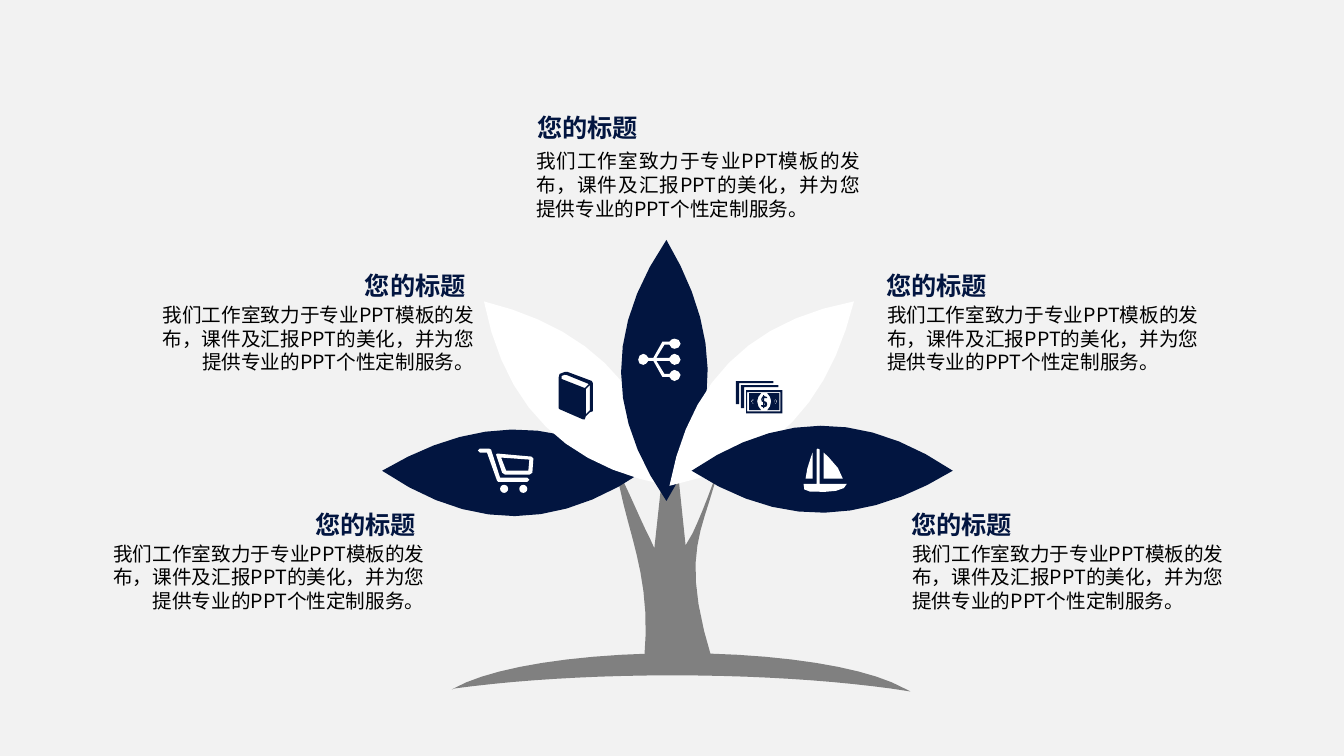
from lxml import etree
from pptx import Presentation
from pptx.dml.color import RGBColor
from pptx.enum.shapes import MSO_SHAPE
from pptx.enum.text import MSO_AUTO_SIZE, PP_ALIGN
from pptx.oxml.ns import qn
from pptx.util import Inches, Pt

NAVY = RGBColor(0x02, 0x15, 0x40)
WHITE = RGBColor(0xFF, 0xFF, 0xFF)
GRAY = RGBColor(0x80, 0x80, 0x80)
BLACK = RGBColor(0x00, 0x00, 0x00)
BACKDROP = RGBColor(0xF2, 0xF2, 0xF2)
LEFT, RIGHT, JUSTIFY = PP_ALIGN.LEFT, PP_ALIGN.RIGHT, PP_ALIGN.JUSTIFY
OVAL = MSO_SHAPE.OVAL
GROW = MSO_AUTO_SIZE.SHAPE_TO_FIT_TEXT
FONT = "Noto Sans CJK SC"

HEADING = "您的标题"
BODY = "我们工作室致力于专业PPT模板的发布，课件及汇报PPT的美化，并为您提供专业的PPT个性定制服务。"

# An outline is a list of contours. A pair is a straight step to that point;
# six numbers are a Bezier step: two control points, then the end point.
GROUND = [[(6.74, 6.48), (7.74, 6.48, 8.6, 6.62, 8.97, 6.83), (9.03, 6.86), (8.83, 6.83),
           (8.24, 6.75, 7.49, 6.7, 6.67, 6.7), (5.85, 6.7, 5.1, 6.75, 4.51, 6.83),
           (4.48, 6.84), (4.5, 6.83), (4.87, 6.62, 5.73, 6.48, 6.74, 6.48)]]
TRUNK = [[(6.65, 3.97), (6.8, 5.41), (6.87, 5.29), (6.94, 5.14, 7.03, 4.92, 7.13, 4.63),
          (6.99, 5.27, 6.72, 5.44, 7.07, 6.57), (6.39, 6.54),
          (6.47, 5.67, 6.2, 5.27, 6.11, 4.63), (6.26, 4.92, 6.36, 5.18, 6.45, 5.35),
          (6.49, 5.44)]]

CART_LEAF = [[(6.39, 4.67), (5.53, 5.26, 4.69, 5.28, 3.79, 4.67),
              (4.65, 4.16, 5.48, 4.09, 6.39, 4.67)]]
BOOK_LEAF = [[(6.64, 4.82), (5.62, 4.63, 5.01, 4.06, 4.8, 2.99),
              (5.77, 3.23, 6.41, 3.77, 6.64, 4.82)]]
NETWORK_LEAF = [[(6.61, 4.97), (6.02, 4.12, 6, 3.28, 6.61, 2.38),
                 (7.12, 3.24, 7.19, 4.07, 6.61, 4.97)]]
MONEY_LEAF = [[(6.64, 4.82), (6.83, 3.81, 7.41, 3.19, 8.47, 2.99),
               (8.23, 3.96, 7.69, 4.6, 6.64, 4.82)]]
BOAT_LEAF = [[(6.86, 4.67), (7.71, 4.09, 8.55, 4.06, 9.45, 4.67),
              (8.6, 5.19, 7.77, 5.26, 6.86, 4.67)]]

CART = [[(5.23, 4.74), (4.96, 4.74), (4.87, 4.46), (4.85, 4.45), (4.76, 4.45),
         (4.74, 4.47), (4.76, 4.49), (4.83, 4.49), (4.93, 4.77), (4.94, 4.78),
         (5.23, 4.78), (5.25, 4.76)],
        [(5.27, 4.53), (4.93, 4.5), (4.92, 4.51), (4.98, 4.69), (5.01, 4.71),
         (5.25, 4.71), (5.28, 4.69), (5.29, 4.55)],
        [(5.24, 4.67), (5.02, 4.67), (4.97, 4.54), (5.25, 4.56)]]
BOOK = [[(5.87, 3.78), (5.63, 3.69), (5.63, 3.69, 5.59, 3.68, 5.55, 3.71), (5.54, 3.75),
         (5.54, 4.05), (5.55, 4.06), (5.78, 4.16), (5.8, 4.16), (5.81, 4.13),
         (5.85, 4.09), (5.88, 4.08), (5.88, 3.8)],
        [(5.57, 3.76), (5.57, 3.73), (5.59, 3.71, 5.62, 3.72, 5.62, 3.72),
         (5.84, 3.81), (5.8, 3.85)],
        [(5.81, 3.86), (5.85, 3.82), (5.85, 4.07), (5.81, 4.11)]]
NETWORK = [[(6.69, 3.62), (6.72, 3.62, 6.75, 3.6, 6.75, 3.57), (6.75, 3.54, 6.72, 3.51, 6.69, 3.51),
            (6.67, 3.51, 6.65, 3.53, 6.64, 3.55), (6.51, 3.55), (6.59, 3.42), (6.64, 3.42),
            (6.65, 3.45, 6.67, 3.46, 6.69, 3.46), (6.72, 3.46, 6.75, 3.44, 6.75, 3.41),
            (6.75, 3.38, 6.72, 3.36, 6.69, 3.36), (6.67, 3.36, 6.65, 3.37, 6.64, 3.39),
            (6.57, 3.39), (6.48, 3.55), (6.43, 3.55), (6.42, 3.53, 6.4, 3.51, 6.38, 3.51),
            (6.35, 3.51, 6.33, 3.54, 6.33, 3.57), (6.33, 3.6, 6.35, 3.62, 6.38, 3.62),
            (6.4, 3.62, 6.42, 3.6, 6.43, 3.58), (6.48, 3.58), (6.57, 3.74), (6.64, 3.74),
            (6.65, 3.76, 6.67, 3.78, 6.69, 3.78), (6.72, 3.78, 6.75, 3.75, 6.75, 3.72),
            (6.75, 3.7, 6.72, 3.67, 6.69, 3.67), (6.67, 3.67, 6.65, 3.69, 6.64, 3.71),
            (6.59, 3.71), (6.51, 3.58), (6.64, 3.58), (6.65, 3.6, 6.67, 3.62, 6.69, 3.62)]]
BACK_NOTE = [[(7.33, 3.8), (7.67, 3.8), (7.67, 3.78), (7.3, 3.78), (7.3, 4.01), (7.33, 4.01)]]
FRONT_NOTE = [[(7.4, 3.87), (7.4, 4.1), (7.76, 4.1), (7.76, 3.87)],
              [(7.74, 4.08), (7.41, 4.08), (7.41, 3.89), (7.74, 3.89)]]
NOTE_SIDE = [[(7.51, 3.98), (7.51, 3.95, 7.53, 3.92, 7.55, 3.9), (7.43, 3.9), (7.43, 4.07),
              (7.55, 4.07), (7.53, 4.05, 7.51, 4.02, 7.51, 3.98)],
             [(7.45, 3.98), (7.47, 3.96), (7.48, 3.98), (7.47, 4.01)]]
DOLLAR = [[(7.57, 4.04), (7.57, 4.05), (7.58, 4.05), (7.58, 4.04),
           (7.6, 4.04, 7.61, 4.03, 7.61, 4.01), (7.61, 3.99, 7.6, 3.98, 7.58, 3.98), (7.58, 3.95),
           (7.61, 3.95), (7.61, 3.94), (7.58, 3.93), (7.58, 3.92), (7.57, 3.92), (7.57, 3.93),
           (7.57, 3.93, 7.55, 3.94, 7.55, 3.96), (7.55, 3.98, 7.56, 3.99, 7.57, 3.99),
           (7.57, 4.02), (7.55, 4.02), (7.55, 4.03)],
          [(7.56, 3.96), (7.57, 3.95), (7.57, 3.97)],
          [(7.58, 4), (7.59, 4.01), (7.58, 4.02)]]
BOAT = [[(8.13, 4.8), (8.13, 4.46), (8.11, 4.45), (8.1, 4.46), (8.1, 4.8), (7.97, 4.8),
         (7.97, 4.88, 7.97, 4.88, 8.18, 4.88), (8.3, 4.88, 8.4, 4.85, 8.4, 4.8)],
        [(8.17, 4.49), (8.17, 4.75), (8.36, 4.75), (8.36, 4.66, 8.17, 4.49, 8.17, 4.49)],
        [(8.06, 4.49), (8.06, 4.49, 7.99, 4.67, 7.99, 4.75), (8.06, 4.75)]]

# Body left and top, heading left and top, body and heading alignment.
CAPTIONS = [(0.9, 5.32, 3.03, 4.98, RIGHT, LEFT), (8.95, 5.32, 8.94, 4.98, LEFT, LEFT),
            (8.7, 2.95, 8.69, 2.61, LEFT, LEFT), (1.39, 2.95, 3.52, 2.61, RIGHT, LEFT),
            (5.22, 1.43, 5.23, 1.05, JUSTIFY, JUSTIFY)]


def remap(outline, scale=1, across=0, down=0):
    """Scale an outline horizontally, then shift it."""
    return [[tuple(value + down if index % 2 else value * scale + across
                   for index, value in enumerate(step)) for step in contour]
            for contour in outline]


def trace(contour):
    """Turn a contour into points in EMU, with more points on longer curves."""
    points = [contour[0]]
    for step in contour[1:]:
        if len(step) == 2:
            points.append(step)
            continue
        knots = [points[-1], step[:2], step[2:4], step[4:]]
        reach = max(abs(knots[3][axis] - knots[0][axis]) for axis in (0, 1))
        parts = min(10, 2 + int(reach * 6))
        for count in range(1, parts + 1):
            t = count / parts
            weights = ((1 - t) ** 3, 3 * t * (1 - t) ** 2, 3 * t * t * (1 - t), t ** 3)
            points.append(tuple(sum(weight * knot[axis] for weight, knot in zip(weights, knots))
                                for axis in (0, 1)))
    return [(Inches(x), Inches(y)) for x, y in points]


def format_text(para, text, size=14, color=BLACK, bold=False, align=LEFT, pitch=17):
    """Write text into a paragraph and format it."""
    para.alignment = align
    para.line_spacing = Pt(pitch)
    span = para.add_run()
    span.text = text
    span.font.size, span.font.bold, span.font.name = Pt(size), bold, FONT
    span.font.color.rgb = color
    etree.SubElement(span.font._element, qn("a:ea"), typeface=FONT)


class Painter:
    """Holds the current slide and the shared style of its elements."""

    def __init__(self, page):
        """Keep the page and paint its background."""
        self.page = page
        page.background.fill.solid()
        page.background.fill.fore_color.rgb = BACKDROP

    def finish(self, shape, color):
        """Give a shape a plain fill without line or shadow."""
        shape.shadow.inherit = False
        shape.fill.solid()
        shape.fill.fore_color.rgb = color
        shape.line.fill.background()

    def outline(self, contours, color):
        """Draw a filled freeform from its contours."""
        first, *others = [trace(contour) for contour in contours]
        builder = self.page.shapes.build_freeform(*first[0], scale=1.0)
        builder.add_line_segments(first[1:], close=True)
        for points in others:
            builder.move_to(*points[0])
            builder.add_line_segments(points[1:], close=True)
        self.finish(builder.convert_to_shape(), color)

    def oval(self, left, top, width, height, color):
        """Draw a filled oval."""
        lengths = map(Inches, (left, top, width, height))
        self.finish(self.page.shapes.add_shape(OVAL, *lengths), color)

    def text(self, left, top, width, height, text, **style):
        """Place a wrapping text box."""
        box = self.page.shapes.add_textbox(*map(Inches, (left, top, width, height)))
        box.text_frame.word_wrap = True
        box.text_frame.auto_size = GROW
        format_text(box.text_frame.paragraphs[0], text, **style)


deck = Presentation()
deck.slide_width, deck.slide_height = Inches(13.33), Inches(7.5)
painter = Painter(deck.slides.add_slide(deck.slide_layouts[6]))

money = [*BACK_NOTE, *remap(BACK_NOTE, across=0.05, down=0.04), *FRONT_NOTE,
         *NOTE_SIDE, *remap(NOTE_SIDE, scale=-1, across=15.16), *DOLLAR]
for contours, color in [
        (GROUND, GRAY), (TRUNK, GRAY), (CART_LEAF, NAVY), (CART, WHITE),
        (BOOK_LEAF, WHITE), (BOOK, NAVY), (NETWORK_LEAF, NAVY), (NETWORK, WHITE),
        (MONEY_LEAF, WHITE), (money, NAVY), (BOAT_LEAF, NAVY), (BOAT, WHITE)]:
    painter.outline(contours, color)
for wheel_left in (4.96, 5.15):
    painter.oval(wheel_left, 4.81, 0.08, 0.08, WHITE)
for zero_left in (7.46, 7.68):
    painter.oval(zero_left, 3.97, 0.02, 0.03, NAVY)

for body_left, body_top, head_left, head_top, body_align, head_align in CAPTIONS:
    painter.text(body_left, body_top, 3.41, 0.81, BODY, align=body_align)
    painter.text(head_left, head_top, 1.34, 0.4, HEADING, size=18, color=NAVY, bold=True,
                 align=head_align, pitch=23)

deck.save("out.pptx")
